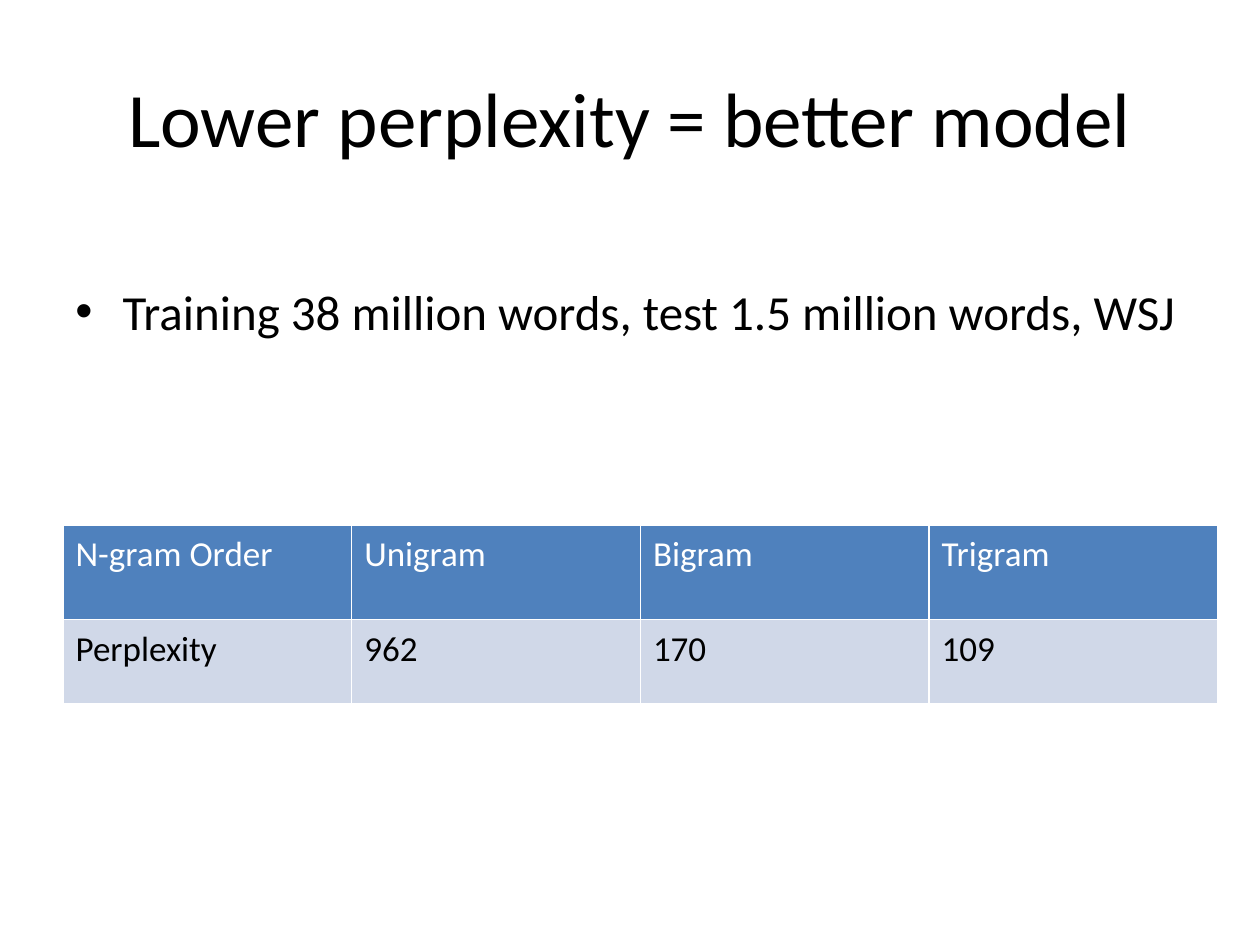
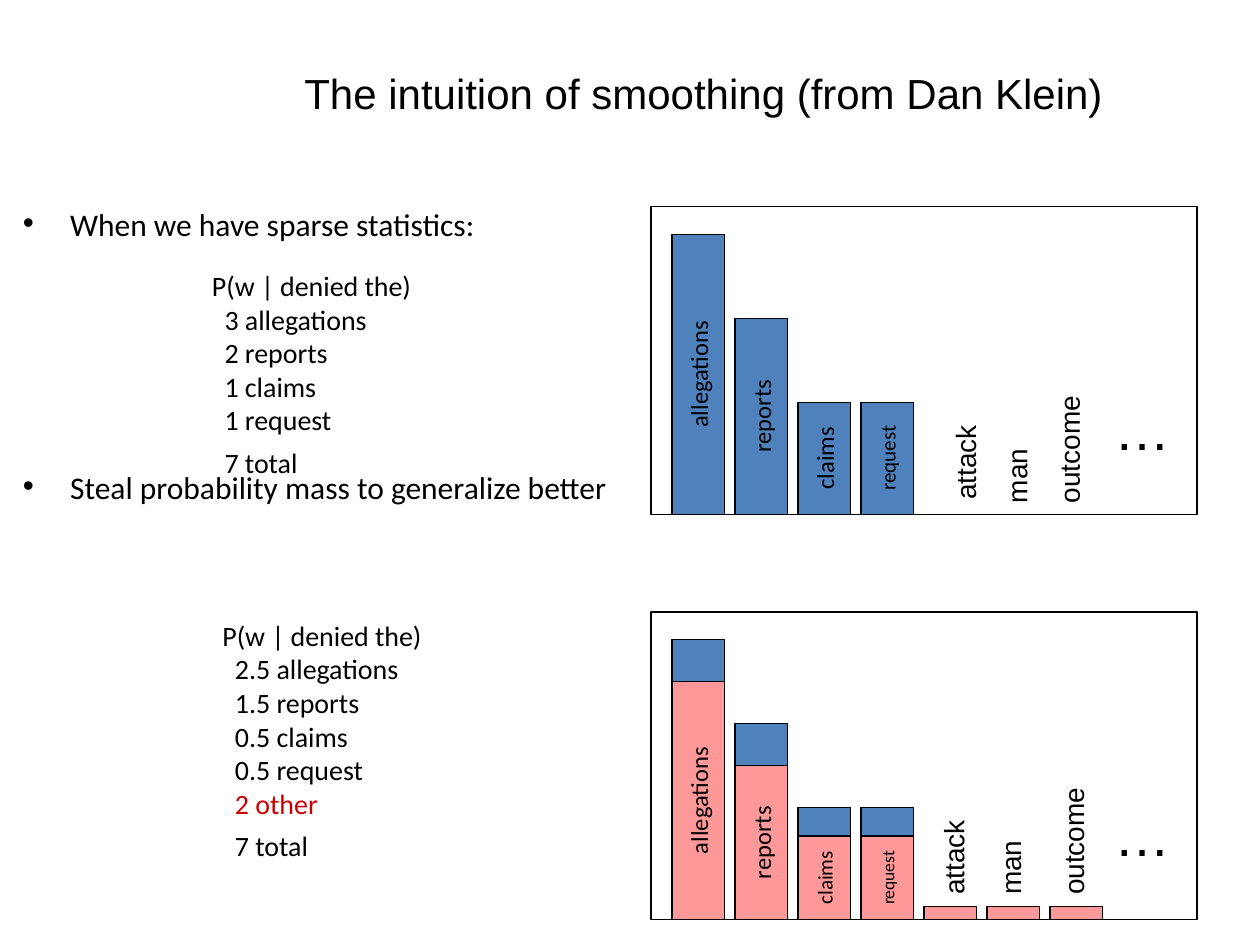
from dataclasses import dataclass

import pptx
import pptx.dml.color
import pptx.enum.shapes
import pptx.enum.text
import pptx.oxml.ns
import pptx.util
from lxml import etree

PX = pptx.util.Inches(1) // 120  # 120 px to the inch
RGB = pptx.dml.color.RGBColor.from_string
ALIGN = pptx.enum.text.PP_ALIGN
MIDDLE = pptx.enum.text.MSO_ANCHOR.MIDDLE
RECT = pptx.enum.shapes.MSO_SHAPE.RECTANGLE


@dataclass(frozen=True)
class Theme:
    body_font: str = "Calibri"
    label_font: str = "Arial"
    black: str = "000000"
    white: str = "FFFFFF"
    blue: str = "4F81BD"
    pale_blue: str = "D0D8E8"
    pink: str = "FF9999"
    red: str = "CC0000"
    title: int = 44
    small_title: int = 24
    bullet: int = 28
    small_bullet: int = 18
    table: int = 20
    note: int = 16
    ellipsis: int = 32


theme = Theme()


def add_text(s, box, lines, size, font=theme.body_font, align=ALIGN.LEFT, bullets=False):
    sp = s.shapes.add_textbox(*[v * PX for v in box])
    tf = sp.text_frame
    tf.word_wrap = True
    tf.text = "\n".join(lines)
    for p in tf.paragraphs:
        p.alignment = align
        if bullets:
            pPr = p._p.get_or_add_pPr()
            pPr.set("marL", str(45 * PX))
            pPr.set("indent", str(-45 * PX))
            for tag, key, value in (("a:buFont", "typeface", "Arial"), ("a:buChar", "char", "•")):
                etree.SubElement(pPr, pptx.oxml.ns.qn(tag)).set(key, value)
        for r in p.runs:
            r.font.size = pptx.util.Pt(size)
            r.font.name = font
            r.font.color.rgb = RGB(theme.black)
    return sp


def add_bar(s, center, base, height, color, label="", size=14):
    """Add an upright bar whose label reads from bottom to top."""
    left, top = center - height / 2, base - height / 2 - 25
    sp = s.shapes.add_shape(RECT, *[round(v * PX) for v in (left, top, height, 50)])
    sp.rotation = 270
    sp.shadow.inherit = False
    sp.fill.solid()
    sp.fill.fore_color.rgb = RGB(color)
    sp.line.color.rgb = RGB(theme.black)
    sp.line.width = pptx.util.Pt(0.75)
    if label:
        tf = sp.text_frame
        tf.word_wrap = False
        tf.vertical_anchor = MIDDLE
        tf.text = label
        p = tf.paragraphs[0]
        p.alignment = ALIGN.CENTER
        font = p.runs[0].font
        font.size = pptx.util.Pt(size)
        font.name = theme.body_font
        font.color.rgb = RGB(theme.black)


prs = pptx.Presentation()
prs.slide_width = 1200 * PX
prs.slide_height = 900 * PX
blank = prs.slide_layouts[6]

# Slide 1: perplexity by model order
s = prs.slides.add_slide(blank)
sp = add_text(s, (60, 36, 1080, 150), ["Lower perplexity = better model"],
              theme.title, align=ALIGN.CENTER)
sp.text_frame.vertical_anchor = MIDDLE
sp = add_text(s, (60, 210, 1080, 594),
              ["Training 38 million words, test 1.5 million words, WSJ"],
              theme.bullet, bullets=True)
sp.text_frame.margin_top = 58 * PX

perplexity = [("N-gram Order", "Unigram", "Bigram", "Trigram"),
              ("Perplexity", "962", "170", "109")]
row_styles = [(90, theme.blue, theme.white), (80, theme.pale_blue, theme.black)]
table = s.shapes.add_table(2, 4, 60 * PX, 500 * PX, 1100 * PX, 170 * PX).table
for row, texts, (height, fill, color) in zip(table.rows, perplexity, row_styles):
    row.height = height * PX
    for cell, text in zip(row.cells, texts):
        cell.fill.solid()
        cell.fill.fore_color.rgb = RGB(fill)
        cell.margin_top = cell.margin_bottom = 8 * PX
        cell.text = text
        font = cell.text_frame.paragraphs[0].runs[0].font
        font.size = pptx.util.Pt(theme.table)
        font.name = theme.body_font
        font.bold = False
        font.color.rgb = RGB(color)

# Slide 2: counts before and after smoothing
s = prs.slides.add_slide(blank)
sp = add_text(s, (180, 23, 980, 130), ["The intuition of smoothing (from Dan Klein)"],
              theme.small_title, theme.label_font, ALIGN.CENTER)
sp.text_frame.vertical_anchor = MIDDLE
sp = add_text(s, (10, 199, 1080, 707),
              ["When we have sparse statistics:", "Steal probability mass to generalize better"],
              theme.small_bullet, bullets=True)
for p, space in zip(sp.text_frame.paragraphs, (0, 135)):
    p.line_spacing = 0.7
    p.space_before = pptx.util.Pt(space)

count_lists = [
    ((190, 250, 320, 214), ["3 allegations", "2 reports", "1 claims", "1 request"]),
    ((200, 583, 320, 246), ["2.5 allegations", "1.5 reports", "0.5 claims", "0.5 request",
                            "2 other"]),
]
for box, counts in count_lists:
    sp = add_text(s, box, ["P(w | denied the)", *counts, "7 total"], theme.note)
    paragraphs = sp.text_frame.paragraphs
    for p in paragraphs[1:]:
        p._p.get_or_add_pPr().set("marL", str(12 * PX))
        if p.text == "2 other":
            p.runs[0].font.color.rgb = RGB(theme.red)
    paragraphs[-1].space_before = pptx.util.Pt(5)

seen = ["allegations", "reports", "claims", "request"]
unseen = ["attack", "man", "outcome"]
raw_heights = [267, 187, 107, 107]
smooth_heights = [227, 147, 80, 80, 13, 13, 13]
first_bar, bar_step = 665, 60

# Panel top, centers of the unseen words, top of the ellipsis, smoothed or not
panels = [
    (197, [(919, 388), (968, 391), (1018, 391)], 370, False),
    (583, [(908, 764), (962, 764), (1022, 764)], 757, True),
]
for top, word_centers, ellipsis_top, smoothed in panels:
    base = top + 293
    frame = s.shapes.add_shape(RECT, 620 * PX, top * PX, 520 * PX, 293 * PX)
    frame.shadow.inherit = False
    frame.fill.background()
    frame.line.color.rgb = RGB(theme.black)
    frame.line.width = pptx.util.Pt(0.75)

    for i, (word, height) in enumerate(zip(seen, raw_heights)):
        add_bar(s, first_bar + i * bar_step, base, height, theme.blue,
                "" if smoothed else word, 12 if word == "request" else 14)
    if smoothed:
        labels = zip(seen + [""] * 3, smooth_heights, [14, 14, 12, 10, 10, 10, 10])
        for i, (word, height, size) in enumerate(labels):
            add_bar(s, first_bar + i * bar_step, base, height, theme.pink, word, size)

    for word, (x, y) in zip(unseen, word_centers):
        sp = add_text(s, (x - 100, y - 22, 200, 44), [word], theme.note, theme.label_font)
        sp.rotation = 270
    add_text(s, (1050, ellipsis_top, 70, 77), ["…"], theme.ellipsis, theme.label_font)

prs.save("out.pptx")
